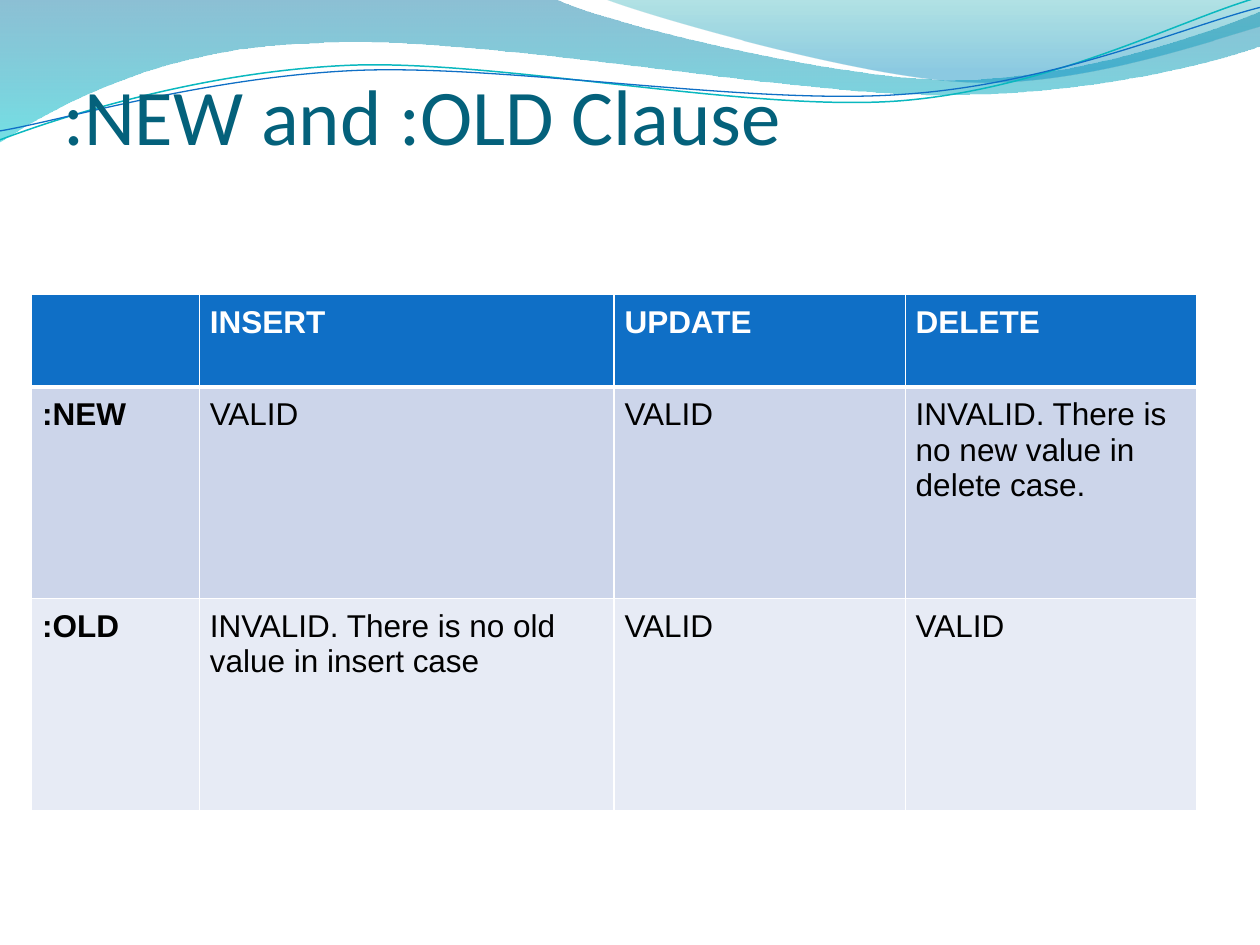
"""Build the :NEW and :OLD clause slide with its wave header and validity table."""
from lxml import etree
from pptx import Presentation
from pptx.dml.color import RGBColor
from pptx.enum.text import MSO_ANCHOR, MSO_AUTO_SIZE, PP_ALIGN
from pptx.oxml.ns import qn
from pptx.util import Cm, Pt

BOTTOM, LEFT = MSO_ANCHOR.BOTTOM, PP_ALIGN.LEFT
NO_FIT = MSO_AUTO_SIZE.NONE
COLORS = {"title": "04617B", "header": "0F6FC6", "new": "CCD5EA", "old": "E7EBF5",
          "white": "FFFFFF", "black": "000000", "teal": "0AB8BF"}


def add_wave(shapes, start, segments, close):
    """Draw straight (one point) and cubic (three points) segments, in cm."""
    builder = shapes.build_freeform(Cm(start[0]), Cm(start[1]))
    builder.add_line_segments([(Cm(x), Cm(y)) for seg in segments for x, y in seg], close=close)
    s = builder.convert_to_shape()
    s.shadow.inherit = False
    nodes = iter(list(s._element.spPr.iter(qn("a:lnTo"))))
    for seg in segments:
        steps = [next(nodes) for _ in seg]
        if len(steps) == 3:
            curve = etree.Element(qn("a:cubicBezTo"))
            steps[0].addprevious(curve)
            for step in steps:
                curve.append(step[0])
                step.getparent().remove(step)
    return s


def add_border(tc_pr, side, width):
    """Give one side of a cell a solid white border."""
    ln = etree.SubElement(tc_pr, qn(f"a:{side}"), w=str(Pt(width)))
    fill = etree.SubElement(ln, qn("a:solidFill"))
    etree.SubElement(fill, qn("a:srgbClr"), val=COLORS["white"])


prs = Presentation()
prs.slide_width, prs.slide_height = Cm(25.4), Cm(19.05)
slide = prs.slides.add_slide(prs.slide_layouts[5])

bands = [
    ((0, 0), [[(11.18, -0.03)],
              [(12.09, 0.43), (16.87, 1.6), (19.25, 1.6)],
              [(21.67, 1.6), (24.33, 0.66), (25.4, 0.23)],
              [(25.43, 0.91)],
              [(24.97, 1.12), (22.1, 1.93), (18.95, 1.91)],
              [(15.8, 1.91), (9.7, 0.71), (6.53, 0.86)],
              [(3.28, 0.91), (1.17, 2.11), (-0.03, 2.87)]],
     [(0, "0074A1", 45), (1, "00C6CF", 55)]),
    ((12.17, -0.03), [[(12.93, 0.28), (17.32, 1.57), (19.53, 1.65)],
                      [(21.74, 1.75), (24.41, 0.81), (25.4, 0.53)],
                      [(25.4, 0)]],
     [(0, "00A1A9", 30), (0.8, "008BBF", 45)]),
]
for start, segments, stops in bands:
    s = add_wave(slide.shapes, start, segments, True)
    s.line.fill.background()
    s.fill.gradient()
    s.fill.gradient_angle = 270
    for stop, (position, color, _) in zip(s.fill.gradient_stops, stops):
        stop.position = position
        stop.color.rgb = RGBColor.from_string(color)
    for clr, (_, _, opacity) in zip(s._element.spPr.iter(qn("a:srgbClr")), stops):
        etree.SubElement(clr, qn("a:alpha"), val=str(opacity * 1000))

lines = [
    ((-0.05, 2.22), [[(1.19, 1.82), (4.02, 1.04), (7.05, 1.05)],
                     [(10.05, 1.07), (15.02, 2.37), (18.08, 2.29)],
                     [(21.13, 2.2), (23.86, 0.91), (25.41, 0.55)]], "teal", 0.85),
    ((-0.04, 2.04), [[(1.16, 1.9), (4.17, 1.15), (7.2, 1.16)],
                     [(10.25, 1.18), (15.13, 2.25), (18.19, 2.16)],
                     [(21.21, 2.1), (23.93, 1.06), (25.45, 0.75)]], "header", 0.75),
]
group = slide.shapes.add_group_shape()
for start, segments, color, width in lines:
    s = add_wave(group.shapes, start, segments, False)
    s.rotation = 357.3
    s.fill.background()
    s.line.color.rgb = RGBColor.from_string(COLORS[color])
    s.line.width = Pt(width)

title = slide.shapes.title
slide.shapes._spTree.append(title._element)
title.left, title.top, title.width, title.height = Cm(1.27), Cm(1.27), Cm(22.86), Cm(3.86)
tf = title.text_frame
tf.word_wrap, tf.auto_size, tf.vertical_anchor = True, NO_FIT, BOTTOM
tf.margin_left = tf.margin_right = tf.margin_top = 0
tf.margin_bottom = Cm(1.87)
p = tf.paragraphs[0]
p.alignment = LEFT
r = p.add_run()
r.text = ":NEW and :OLD Clause"
r.font.name, r.font.size = "Calibri", Pt(45)
r.font.color.rgb = RGBColor.from_string(COLORS["title"])

rows = [
    ("header", 1.87, ["", "INSERT", "UPDATE", "DELETE"]),
    ("new", 4.27, [":NEW", "VALID", "VALID", "INVALID. There is no new value in delete case."]),
    ("old", 4.27, [":OLD", "INVALID. There is no old value in insert case", "VALID", "VALID"]),
]
widths = [3.38, 8.36, 5.87, 5.87]
table = slide.shapes.add_table(len(rows), len(widths), Cm(0.64), Cm(5.93),
                               Cm(sum(widths)), Cm(sum(row[1] for row in rows))).table
for column, width in zip(table.columns, widths):
    column.width = Cm(width)
for i, (fill, height, texts) in enumerate(rows):
    table.rows[i].height = Cm(height)
    for j, text in enumerate(texts):
        cell = table.cell(i, j)
        cell.margin_left = cell.margin_right = cell.margin_top = cell.margin_bottom = Cm(0.21)
        tc_pr = cell._tc.get_or_add_tcPr()
        for side in ("lnL", "lnR", "lnT", "lnB"):
            heavy = (i, side) in ((0, "lnB"), (1, "lnT"))
            add_border(tc_pr, side, 3 if heavy else 1)
        cell.fill.solid()
        cell.fill.fore_color.rgb = RGBColor.from_string(COLORS[fill])
        if text:
            r = cell.text_frame.paragraphs[0].add_run()
            r.text = text
            r.font.name, r.font.size = "Arial", Pt(18)
            r.font.bold = i == 0 or j == 0
            r.font.color.rgb = RGBColor.from_string(COLORS["black" if i else "white"])

prs.save("out.pptx")
